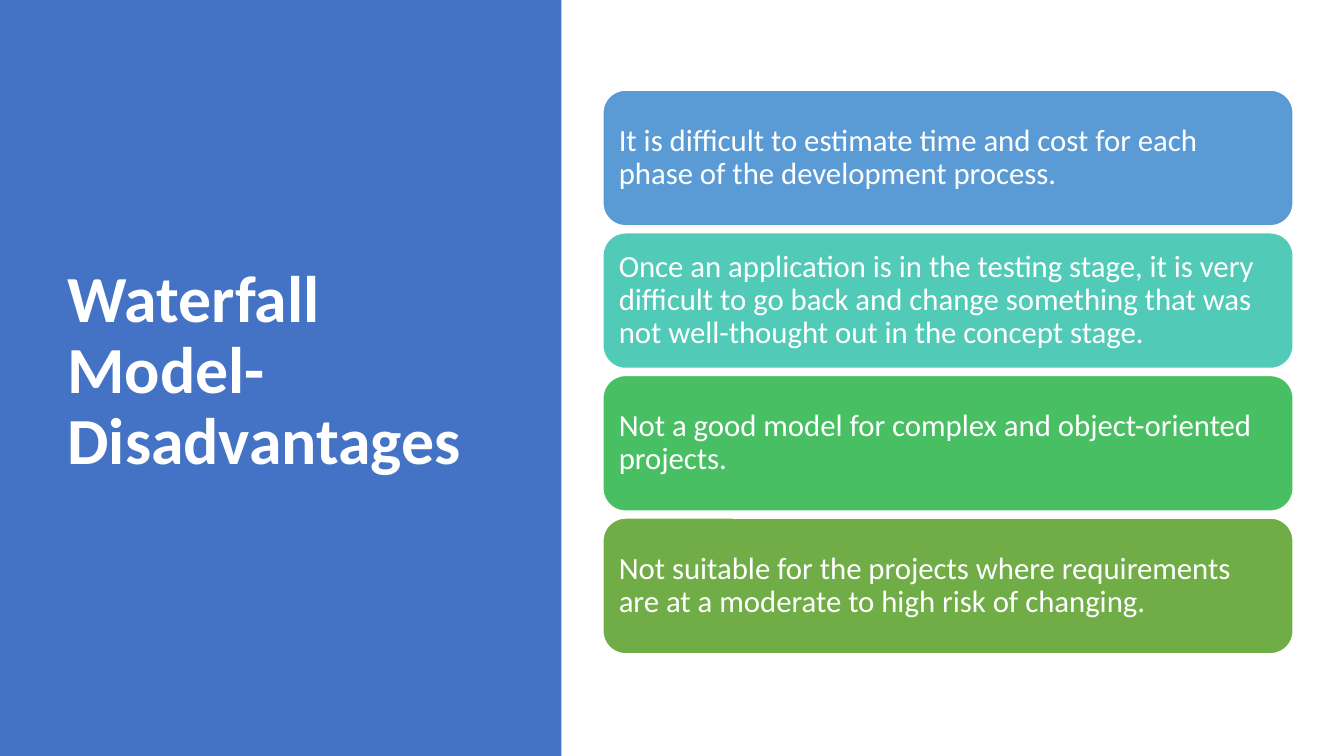
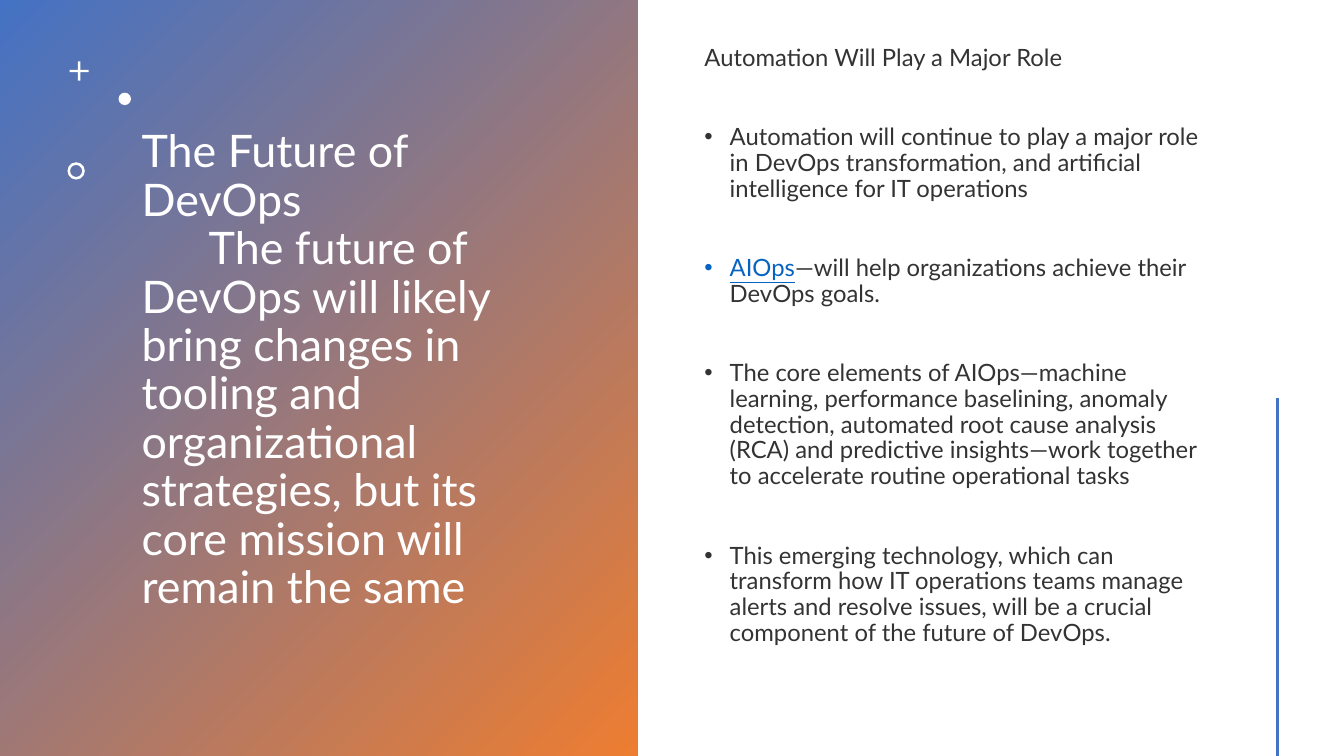
from dataclasses import dataclass

from lxml.etree import SubElement
from pptx import Presentation
from pptx.dml.color import RGBColor
from pptx.enum.shapes import MSO_CONNECTOR, MSO_SHAPE
from pptx.enum.text import MSO_ANCHOR, MSO_AUTO_SIZE, PP_ALIGN
from pptx.oxml.ns import qn
from pptx.util import Pt

WHITE = RGBColor(0xFF, 0xFF, 0xFF)
INK = RGBColor(0x33, 0x33, 0x33)
BLUE = RGBColor(0x44, 0x72, 0xC4)
ORANGE = RGBColor(0xED, 0x7D, 0x31)
LINK_BLUE = RGBColor(0x05, 0x63, 0xC1)
SKY = RGBColor(0x5B, 0x9B, 0xD5)
TEAL = RGBColor(0x52, 0xCA, 0xB8)
GREEN = RGBColor(0x49, 0xBF, 0x64)
OLIVE = RGBColor(0x70, 0xAD, 0x47)

SLIDE_WIDTH, SLIDE_HEIGHT = 960, 540
LINE_SPACING = 0.9


@dataclass(frozen=True)
class Box:
    left: float
    top: float
    width: float
    height: float

    def lengths(self):
        return Pt(self.left), Pt(self.top), Pt(self.width), Pt(self.height)


@dataclass(frozen=True)
class Card:
    text: str
    color: RGBColor


@dataclass(frozen=True)
class Ornament:
    outline: MSO_SHAPE
    box: Box
    adjustment: float | None = None


CARDS = (
    Card("It is difficult to estimate time and cost for each phase of the "
         "development process.", SKY),
    Card("Once an application is in the testing stage, it is very difficult to go "
         "back and change something that was not well-thought out in the concept "
         "stage.", TEAL),
    Card("Not a good model for complex and object-oriented projects.", GREEN),
    Card("Not suitable for the projects where requirements are at a moderate to "
         "high risk of changing.", OLIVE),
)
FIRST_CARD = Box(430.7, 64.4, 493, 96.9)
CARD_PITCH = 101.9

ORNAMENTS = (
    Ornament(MSO_SHAPE.CROSS, Box(49.7, 43.9, 13.7, 13.7), 0.44),
    Ornament(MSO_SHAPE.OVAL, Box(84.7, 66.2, 8.9, 8.9)),
    Ornament(MSO_SHAPE.DONUT, Box(48.2, 115.9, 12.4, 12.4), 0.15),
)

AUTOMATION_POINTS = (
    ("", "Automation will continue to play a major role in DevOps transformation, "
         "and artificial intelligence for IT operations"),
    ("AIOps", "—will help organizations achieve their DevOps goals."),
    ("", "The core elements of AIOps—machine learning, performance baselining, "
         "anomaly detection, automated root cause analysis (RCA) and predictive "
         "insights—work together to accelerate routine operational tasks"),
    ("", "This emerging technology, which can transform how IT operations teams "
         "manage alerts and resolve issues, will be a crucial component of the "
         "future of DevOps."),
)


def add_text(frame, text: str, *, size: float, font: str, color: RGBColor,
             bold: bool = False, link: str = "", before: float = 0,
             margin: float = 0, indent: float = 0, bullet: str = "") -> None:
    first = frame.paragraphs[0]
    paragraph = frame.add_paragraph() if first.runs else first
    paragraph.alignment = PP_ALIGN.LEFT
    paragraph.line_spacing = LINE_SPACING
    paragraph.space_before = Pt(before)
    paragraph.space_after = Pt(0)
    properties = paragraph._p.get_or_add_pPr()
    properties.set("marL", str(Pt(margin)))
    properties.set("indent", str(Pt(indent)))
    if bullet:
        SubElement(properties, qn("a:buFont")).set("typeface", "Arial")
        SubElement(properties, qn("a:buChar")).set("char", bullet)
    else:
        SubElement(properties, qn("a:buNone"))
    for part, part_color, underline in ((link, LINK_BLUE, True), (text, color, False)):
        if part:
            run = paragraph.add_run()
            run.text = part
            run.font.size = Pt(size)
            run.font.name = font
            run.font.bold = bold
            run.font.underline = underline
            run.font.color.rgb = part_color


def place_placeholder(placeholder, box: Box, anchor: MSO_ANCHOR):
    placeholder.left, placeholder.top, placeholder.width, placeholder.height = box.lengths()
    frame = placeholder.text_frame
    frame.word_wrap = True
    frame.auto_size = MSO_AUTO_SIZE.NONE
    frame.vertical_anchor = anchor
    return frame


def add_block(slide, outline: MSO_SHAPE, box: Box, color: RGBColor):
    block = slide.shapes.add_shape(outline, *box.lengths())
    block.shadow.inherit = False
    block.fill.solid()
    block.fill.fore_color.rgb = color
    block.line.fill.background()
    return block


def add_side_panel(slide, width: float):
    panel = add_block(slide, MSO_SHAPE.RECTANGLE, Box(0, 0, width, SLIDE_HEIGHT), BLUE)
    slide.shapes.title.element.addprevious(panel.element)
    return panel


def add_card(slide, card: Card, position: int) -> None:
    box = Box(FIRST_CARD.left, FIRST_CARD.top + position * CARD_PITCH,
              FIRST_CARD.width, FIRST_CARD.height)
    block = add_block(slide, MSO_SHAPE.ROUNDED_RECTANGLE, box, card.color)
    block.line.color.rgb = WHITE
    block.line.width = Pt(1)
    frame = block.text_frame
    frame.word_wrap = True
    frame.vertical_anchor = MSO_ANCHOR.MIDDLE
    frame.margin_left = frame.margin_right = Pt(6.6)
    frame.margin_top = frame.margin_bottom = Pt(6.6)
    add_text(frame, card.text, size=22, font="Calibri", color=WHITE)


def add_ornament(slide, ornament: Ornament) -> None:
    mark = add_block(slide, ornament.outline, ornament.box, WHITE)
    if ornament.adjustment is not None:
        mark.adjustments[0] = ornament.adjustment


def build_disadvantages(deck) -> None:
    slide = deck.slides.add_slide(deck.slide_layouts[5])
    add_side_panel(slide, 401)
    heading = place_placeholder(slide.shapes.title, Box(41, 49, 299.5, 433.4),
                                MSO_ANCHOR.MIDDLE)
    add_text(heading, "Waterfall Model-Disadvantages", size=47, font="Calibri",
             color=WHITE, bold=True)
    for position, card in enumerate(CARDS):
        add_card(slide, card, position)


def build_future(deck) -> None:
    slide = deck.slides.add_slide(deck.slide_layouts[1])
    panel = add_side_panel(slide, 455.5)
    panel.fill.gradient()
    panel.fill.gradient_angle = 315
    for stop, color, position in zip(panel.fill.gradient_stops, (BLUE, ORANGE), (0, 1)):
        stop.color.rgb = color
        stop.position = position

    heading = place_placeholder(slide.shapes.title, Box(93.9, 30.2, 315.4, 470),
                                MSO_ANCHOR.MIDDLE)
    heading_format = dict(size=32, font="Lato", color=WHITE)
    add_text(heading, "The Future of DevOps", **heading_format)
    add_text(heading, "The future of DevOps will likely bring changes in tooling and "
             "organizational strategies, but its core mission will remain the same",
             indent=48, **heading_format)
    for ornament in ORNAMENTS:
        add_ornament(slide, ornament)

    points = place_placeholder(slide.placeholders[1], Box(496, 29, 376, 471),
                               MSO_ANCHOR.TOP)
    points_format = dict(size=17, font="Lato", color=INK)
    add_text(points, "Automation Will Play a Major Role", **points_format)
    for link, text in AUTOMATION_POINTS:
        add_text(points, text, link=link, before=38.4, margin=18, indent=-18,
                 bullet="•", **points_format)

    accent = slide.shapes.add_connector(MSO_CONNECTOR.STRAIGHT, Pt(912.4), Pt(284),
                                        Pt(912.4), Pt(SLIDE_HEIGHT))
    accent.line.color.rgb = BLUE
    accent.line.width = Pt(2)
    SubElement(accent.element.spPr, qn("a:effectLst"))


def main() -> None:
    deck = Presentation()
    deck.slide_width, deck.slide_height = Pt(SLIDE_WIDTH), Pt(SLIDE_HEIGHT)
    build_disadvantages(deck)
    build_future(deck)
    deck.save("out.pptx")


main()
